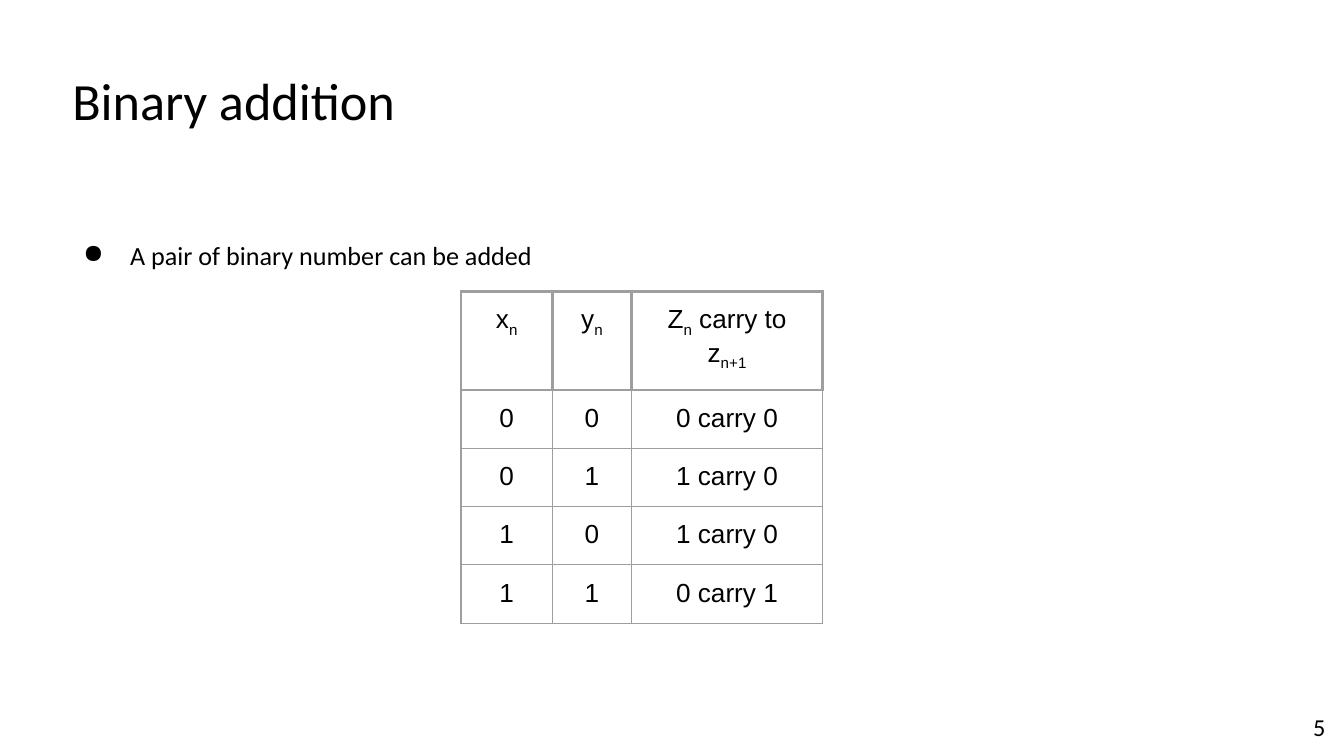
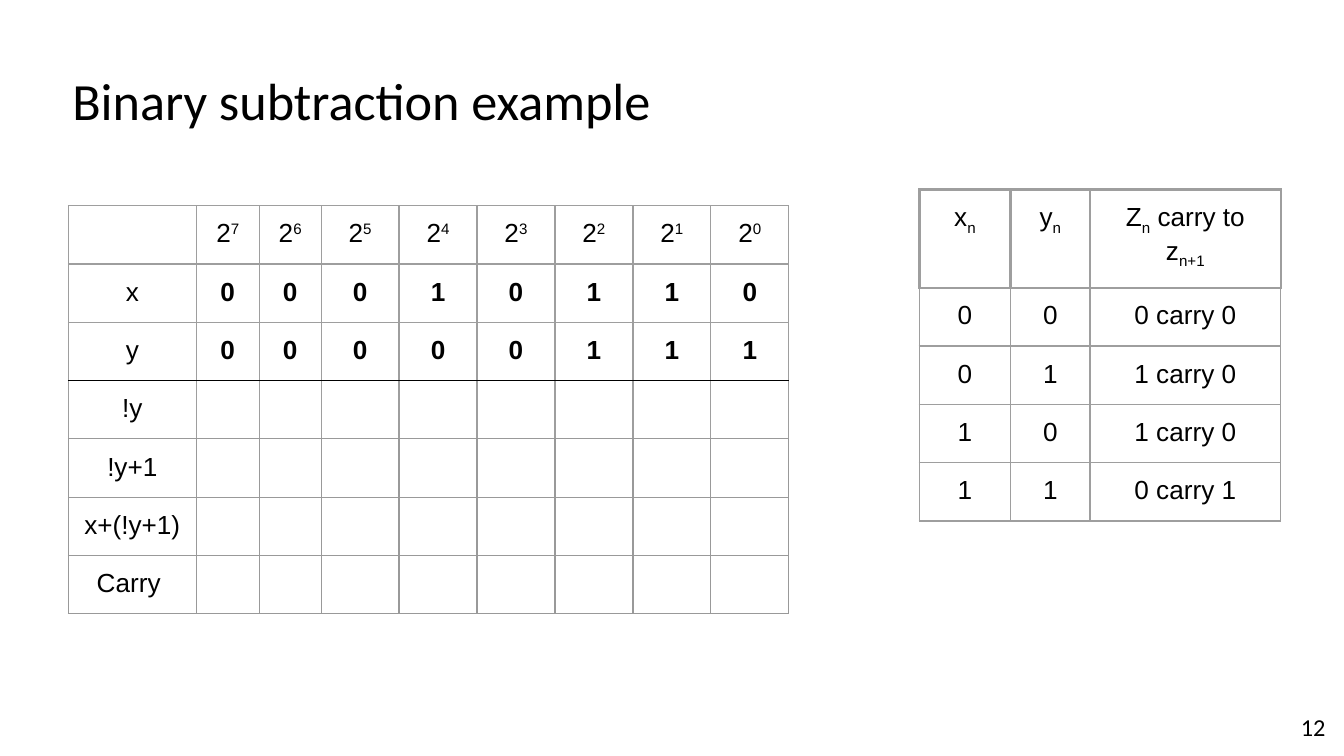
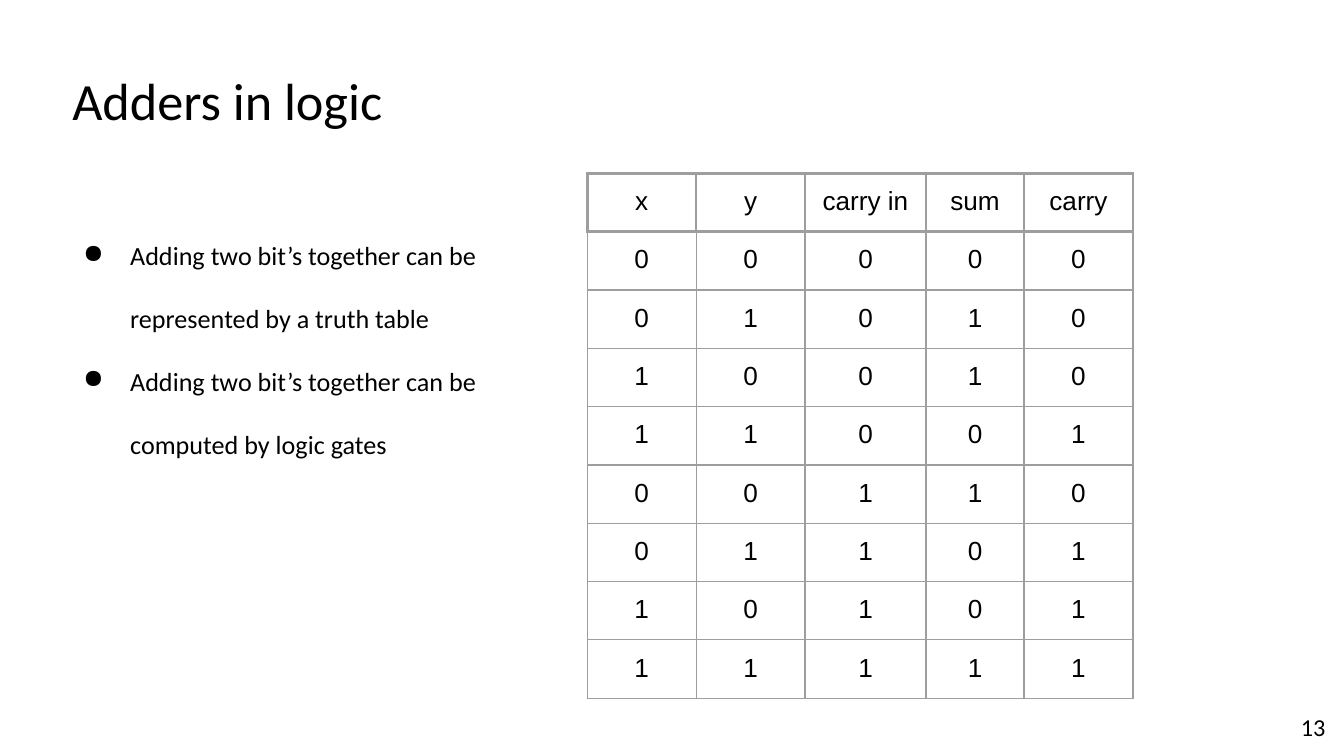
from dataclasses import dataclass
from itertools import product

from lxml.etree import SubElement
from pptx import Presentation
from pptx.dml.color import RGBColor
from pptx.enum.text import MSO_ANCHOR, PP_ALIGN
from pptx.oxml.ns import qn
from pptx.util import Inches, Pt


@dataclass(frozen=True)
class Theme:
    ink: str = "000000"
    grid: str = "9E9E9E"
    faint_grid: str = "999999"
    text_font: str = "Calibri"
    table_font: str = "Arial"
    title_size: int = 28
    body_size: int = 14
    number_size: int = 13
    inset: float = 0.1


theme = Theme()
thin = (theme.grid, 0.75)
heavy = (theme.grid, 1.5)
faint = (theme.faint_grid, 0.75)
sum_line = (theme.ink, 0.75)


def add_text(slide, box, lines, size, bulleted=False):
    frame = slide.shapes.add_textbox(*map(Inches, box)).text_frame
    frame.word_wrap = True
    frame.margin_left = frame.margin_right = Inches(theme.inset)
    frame.margin_top = frame.margin_bottom = Inches(theme.inset)
    frame.text = "\n".join(lines)
    for index, paragraph in enumerate(frame.paragraphs):
        if bulleted:
            paragraph.line_spacing = 2.0
            paragraph.space_before = Pt(0 if index else 10)
            properties = paragraph._p.get_or_add_pPr()
            properties.set("marL", str(Inches(0.5)))
            properties.set("indent", str(Inches(-0.35)))
            bullet_colour = SubElement(properties, qn("a:buClr"))
            SubElement(bullet_colour, qn("a:srgbClr"), val=theme.ink)
            SubElement(properties, qn("a:buSzPts"), val=str(size * 100))
            SubElement(properties, qn("a:buChar"), char="●")
        paragraph.font.name = theme.text_font
        paragraph.font.size = Pt(size)
        paragraph.font.color.rgb = RGBColor.from_string(theme.ink)
    return frame


def add_grid(slide, left, top, rows, widths, heights, sides, rules, shift=0):
    box = (left, top, sum(widths), sum(heights))
    table = slide.shapes.add_table(len(rows), len(widths), *map(Inches, box)).table
    table.first_row = table.horz_banding = False
    for column, width in zip(table.columns, widths):
        column.width = Inches(width)
    for row, height in zip(table.rows, heights):
        row.height = Inches(height)
    for r, c in product(range(len(rows)), range(len(widths))):
        cell = table.cell(r, c)
        cell.margin_left = cell.margin_right = Inches(theme.inset)
        cell.margin_top = cell.margin_bottom = Inches(theme.inset)
        edges = {"L": sides[r], "R": sides[r], "T": rules[r], "B": rules[r + 1]}
        for edge, (colour, weight) in edges.items():
            border = SubElement(cell._tc.get_or_add_tcPr(), qn(f"a:ln{edge}"), w=str(Pt(weight)))
            SubElement(SubElement(border, qn("a:solidFill")), qn("a:srgbClr"), val=colour)
        cell.fill.background()
        paragraph = cell.text_frame.paragraphs[0]
        paragraph.alignment = PP_ALIGN.CENTER
        paragraph.font.name = theme.table_font
        paragraph.font.size = Pt(theme.body_size)
        paragraph.font.color.rgb = RGBColor.from_string(theme.ink)
        if not rows[r][c]:
            SubElement(paragraph._p, qn("a:endParaRPr"), sz=str(theme.body_size * 100))
            continue
        for index, part in enumerate(rows[r][c].split("|")):
            run = paragraph.add_run()
            run.text = part
            if index % 2:
                run.font._element.set("baseline", str(shift * 1000))
    return table


deck = Presentation()
deck.slide_width = Inches(10)
deck.slide_height = deck.slide_width * 9 // 16

slides = []
for title, number in [
    ("Binary addition", "5"),
    ("Binary subtraction example", "12"),
    ("Adders in logic", "13"),
]:
    slide = deck.slides.add_slide(deck.slide_layouts[6])
    add_text(slide, (0.44, 0.41, 6.36, 0.68), [title], theme.title_size)
    page_number = add_text(slide, (9.36, 5.19, 0.6, 0.43), [number], theme.number_size)
    page_number.vertical_anchor = MSO_ANCHOR.MIDDLE
    page_number.paragraphs[0].alignment = PP_ALIGN.RIGHT
    slides.append(slide)
addition, subtraction, adders = slides

add_text(addition, (0.37, 1.45, 8.27, 3.84), ["A pair of binary number can be added"],
         theme.body_size, bulleted=True)
add_text(adders, (0.37, 1.45, 4.12, 3.84),
         ["Adding two bit’s together can be represented by a truth table",
          "Adding two bit’s together can be computed by logic gates"],
         theme.body_size, bulleted=True)

carry_rules = [["x|n", "y|n", "Z|n| carry to z|n+1"]]
for x, y in product((0, 1), repeat=2):
    carry_rules.append([str(x), str(y), f"{x ^ y} carry {x & y}"])
for slide, left, top in [(addition, 3.43, 2.17), (subtraction, 6.84, 1.41)]:
    add_grid(slide, left, top, carry_rules, [0.68, 0.59, 1.42],
             [0.43] + [0.42] * 4, [heavy] + [thin] * 4, [heavy] * 2 + [thin] * 4, shift=-25)

working = [
    [""] + [f"2|{power}" for power in range(7, -1, -1)],
    ["x", *"00010110"],
    ["y", *"00000111"],
]
for step in ["!y", "!y+1", "x+(!y+1)", "Carry "]:
    working.append([step] + [""] * 8)
working_table = add_grid(subtraction, 0.51, 1.53, working,
                         [0.95, 0.47, 0.46] + [0.58] * 6, [0.42] * 7,
                         [thin] * 4 + [faint] * 3,
                         [thin] * 3 + [sum_line] + [faint] * 4, shift=30)
for r, c in product((1, 2), range(1, 9)):
    working_table.cell(r, c).text_frame.paragraphs[0].font.bold = True

truth_table = [["x", "y", "carry in", "sum", "carry"]]
for carry_in, x, y in product((0, 1), repeat=3):
    total = x + y + carry_in
    truth_table.append([str(bit) for bit in (x, y, carry_in, total % 2, total // 2)])
add_grid(adders, 4.37, 1.29, truth_table, [0.81, 0.81, 0.9, 0.73, 0.81],
         [0.42] + [0.43] * 8, [heavy] + [thin] * 8, [heavy] * 2 + [thin] * 8)

deck.save("out.pptx")
